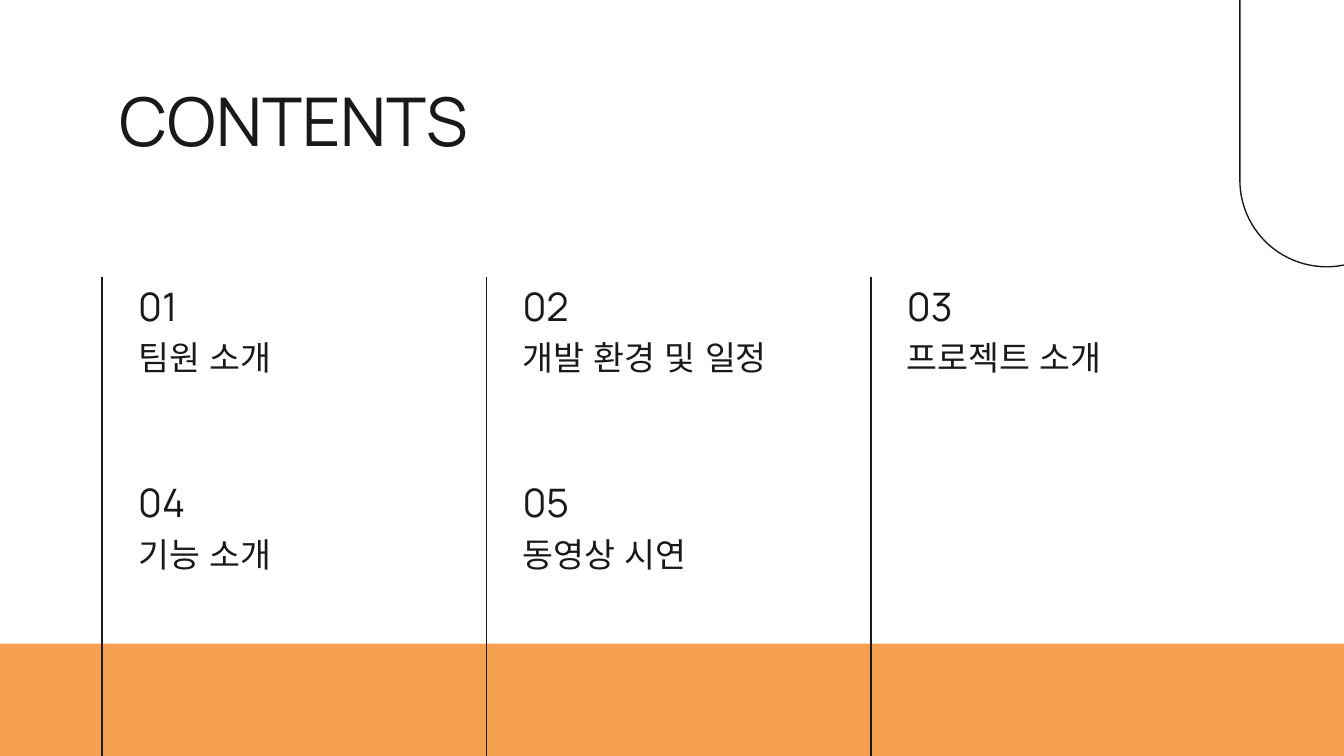
import lxml.etree
import pptx
import pptx.dml.color
import pptx.enum.shapes
import pptx.enum.text
import pptx.oxml.ns
import pptx.util

Inches = pptx.util.Inches
Pt = pptx.util.Pt
SHAPES = pptx.enum.shapes.MSO_SHAPE
ANCHORS = pptx.enum.text.MSO_ANCHOR

INK = pptx.dml.color.RGBColor(0x19, 0x19, 0x19)
ORANGE = pptx.dml.color.RGBColor(0xF5, 0xA0, 0x4F)
WHITE = pptx.dml.color.RGBColor(0xFF, 0xFF, 0xFF)

HEADING = {"name": "Manrope", "size": Pt(36)}
NUMBER = {"name": "Manrope", "size": Pt(21)}
TOPIC = {"name": "Arial", "size": Pt(18)}

TOPICS = ["팀원 소개", "개발 환경 및 일정", "프로젝트 소개", "기능 소개", "동영상 시연"]
COLUMNS = 3
COLUMN_PITCH = 2.86
ROW_PITCH = 1.46


def write(holder, text, style, anchor=ANCHORS.TOP):
    frame = holder.text_frame
    settings = {
        "word_wrap": True,
        "auto_size": pptx.enum.text.MSO_AUTO_SIZE.NONE,
        "vertical_anchor": anchor,
        "margin_left": Inches(0.1),
        "margin_top": Inches(0.1),
        "margin_right": Inches(0.1),
        "margin_bottom": Inches(0.1),
    }
    for key, value in settings.items():
        setattr(frame, key, value)
    paragraph = frame.paragraphs[0]
    paragraph.alignment = pptx.enum.text.PP_ALIGN.LEFT
    run = paragraph.add_run()
    run.text = text
    for key, value in style.items():
        setattr(run.font, key, value)
    run.font.color.rgb = INK
    east_asian = lxml.etree.SubElement(run._r.get_or_add_rPr(), pptx.oxml.ns.qn("a:ea"))
    east_asian.set("typeface", style["name"])


def add_text(slide, left, top, width, height, text, style, anchor=ANCHORS.TOP):
    box = slide.shapes.add_textbox(Inches(left), Inches(top), Inches(width), Inches(height))
    write(box, text, style, anchor)


def add_band(slide, left, top, width, height):
    band = slide.shapes.add_shape(
        SHAPES.RECTANGLE, Inches(left), Inches(top), Inches(width), Inches(height)
    )
    band.shadow.inherit = False
    band.fill.solid()
    band.fill.fore_color.rgb = ORANGE
    band.line.fill.background()


def add_capsule(slide, left, top, width, height):
    capsule = slide.shapes.add_shape(
        SHAPES.ROUNDED_RECTANGLE, Inches(left), Inches(top), Inches(width), Inches(height)
    )
    capsule.rotation = 90
    capsule.adjustments[0] = 0.5
    capsule.shadow.inherit = False
    capsule.fill.background()
    capsule.line.color.rgb = INK
    capsule.line.width = Pt(0.75)


def place_title(slide, left, top, width, height):
    title = slide.shapes.title
    bounds = {"left": left, "top": top, "width": width, "height": height}
    for key, value in bounds.items():
        setattr(title, key, Inches(value))
    write(title, "CONTENTS", HEADING)


def add_divider(slide, x, top, height):
    divider = slide.shapes.add_connector(
        pptx.enum.shapes.MSO_CONNECTOR.STRAIGHT,
        Inches(x), Inches(top), Inches(x), Inches(top + height),
    )
    divider.line.color.rgb = INK
    divider.line.width = Pt(0.75)
    lxml.etree.SubElement(divider._element.spPr, pptx.oxml.ns.qn("a:effectLst"))


def add_entry(slide, left, top, number, topic):
    add_text(slide, left, top, 0.8, 0.49, f"{number:02d}", NUMBER, ANCHORS.BOTTOM)
    add_text(slide, left, top + 0.35, 2.52, 0.56, topic, TOPIC)


def add_contents(slide, left, top, height):
    for index, topic in enumerate(TOPICS):
        row, column = divmod(index, COLUMNS)
        entry_left = left + 0.17 + column * COLUMN_PITCH
        add_entry(slide, entry_left, top + row * ROW_PITCH, index + 1, topic)
    for column in range(COLUMNS):
        add_divider(slide, left + column * COLUMN_PITCH, top, height)


def main():
    deck = pptx.Presentation()
    deck.slide_width = Inches(10)
    deck.slide_height = deck.slide_width * 9 // 16
    slide = deck.slides.add_slide(deck.slide_layouts.get_by_name("Title Only"))
    slide.background.fill.solid()
    slide.background.fill.fore_color.rgb = WHITE

    add_band(slide, 0, 4.79, 10.01, 0.84)
    add_capsule(slide, 7.61, -0.92, 4.52, 1.29)
    place_title(slide, 0.79, 0.49, 3.5, 1.4)
    add_contents(slide, 0.76, 2.06, 3.57)

    deck.save("out.pptx")


if __name__ == "__main__":
    main()
